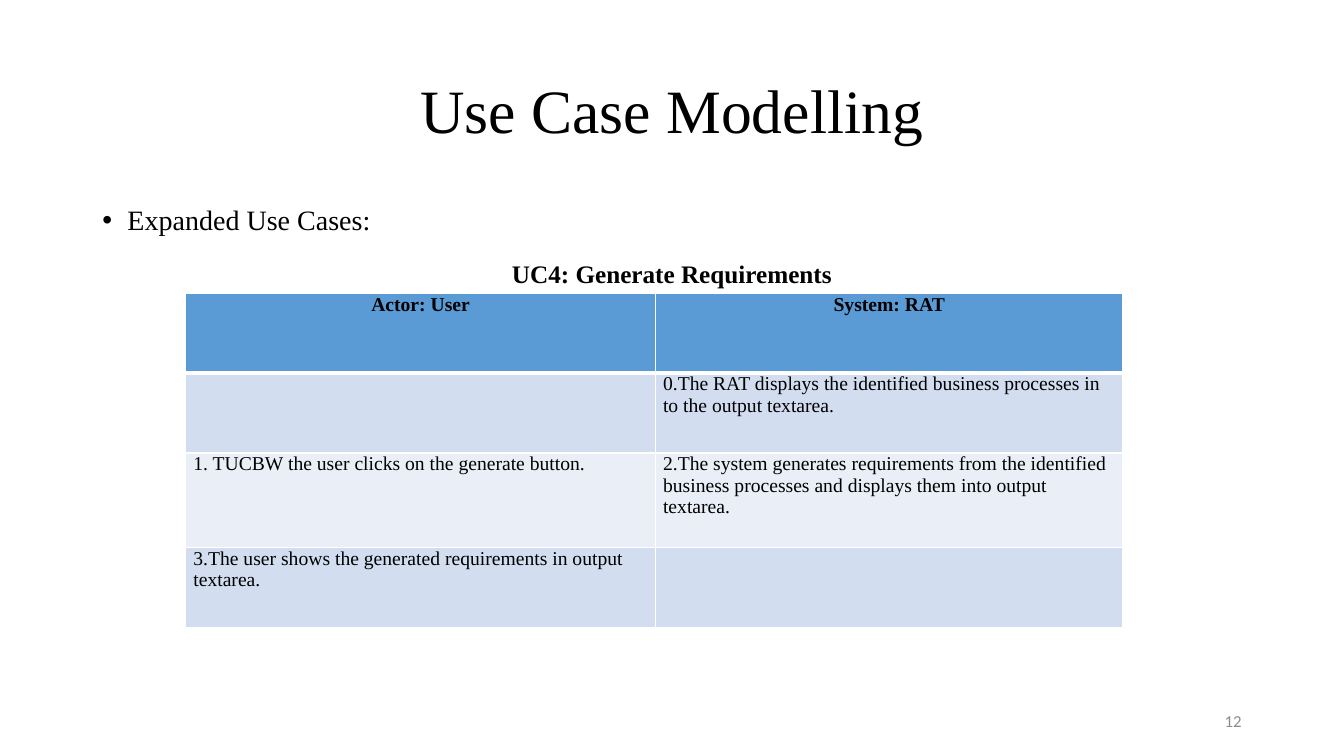
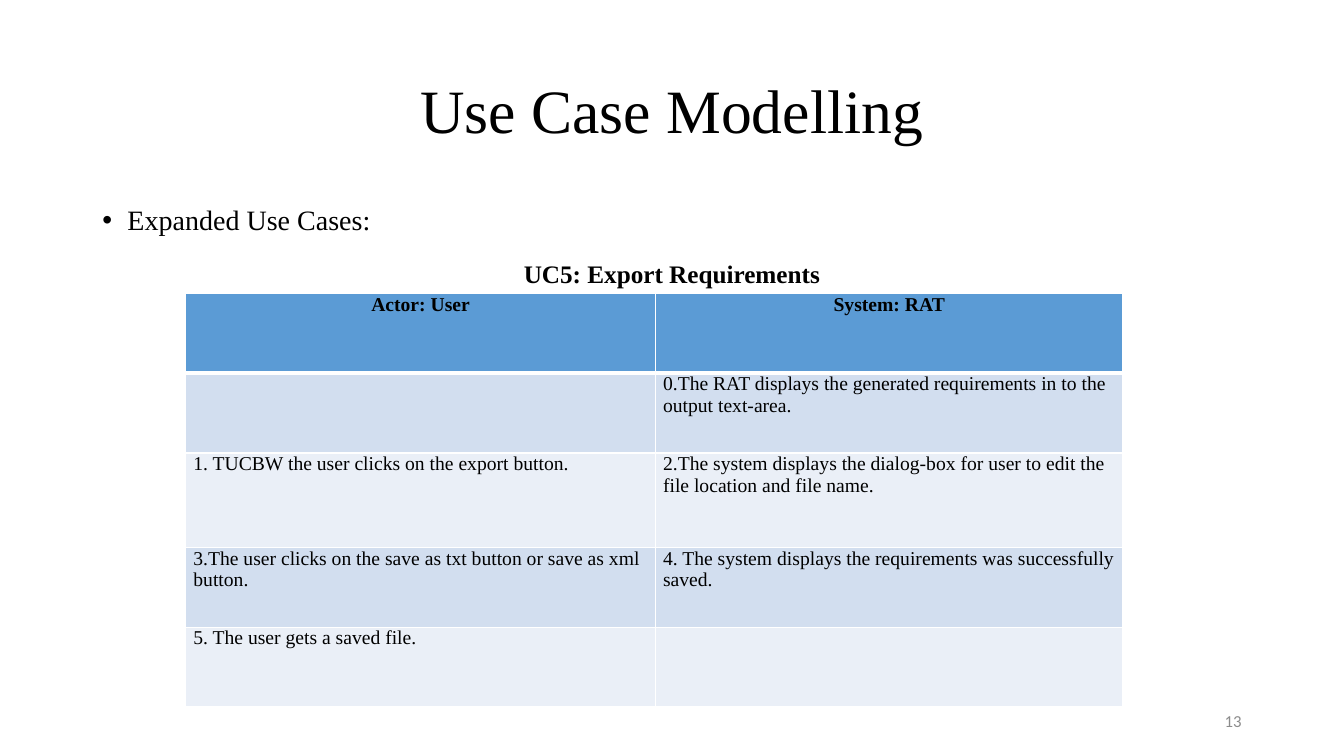
from dataclasses import dataclass

from lxml.etree import SubElement
from pptx import Presentation
from pptx.dml.color import RGBColor
from pptx.enum.text import MSO_ANCHOR, PP_ALIGN
from pptx.oxml.ns import qn
from pptx.util import Pt


@dataclass(frozen=True)
class Theme:
    """Colours, fonts and type sizes shared by all slides."""

    serif: str = "Times New Roman"
    sans: str = "Calibri"
    text: str = "000000"
    muted: str = "8C8C8C"
    border: str = "FFFFFF"
    header: str = "5B9BD5"
    bands: tuple = ("D2DEEF", "EAEFF7")
    title_size: float = 44
    body_size: float = 20
    caption_size: float = 18
    cell_size: float = 14
    number_size: float = 12


THEME = Theme()
MARGIN = 66
CONTENT_WIDTH = 828
COLUMN_WIDTHS = (335.5, 334)
ROW_HEIGHT = 56.9
TALL_ROW_HEIGHT = 67.7
TALL_ROW = 2
HEADINGS = ("Actor: User", "System: RAT")

USE_CASES = (
    (12, "UC4: Generate Requirements", (
        ("", "0.The RAT displays the identified business processes in to the output textarea."),
        ("1. TUCBW the user clicks on the generate button.",
         "2.The system generates requirements from the identified business processes "
         "and displays them into output textarea."),
        ("3.The user shows the generated requirements in output textarea.", ""),
    )),
    (13, "UC5: Export Requirements", (
        ("", "0.The RAT displays the generated requirements in to the output text-area."),
        ("1. TUCBW the user clicks on the export button.",
         "2.The system displays the dialog-box for user to edit the file location and file name."),
        ("3.The user clicks on the save as txt button or save as xml button.",
         "4. The system displays the requirements was successfully saved."),
        ("5. The user gets a saved file.", ""),
    )),
)


def style_paragraph(paragraph, size, align, bold=False, font_name=THEME.serif, color=THEME.text):
    """Format a paragraph and its font."""
    paragraph.alignment = align
    for run in paragraph.runs:
        run.font.name = font_name
        run.font.size = Pt(size)
        run.font.bold = bold
        run.font.color.rgb = RGBColor.from_string(color)


def add_text(slide, text, box, size, align, anchor=MSO_ANCHOR.TOP, **style):
    """Add a wrapped text box and return its paragraph."""
    frame = slide.shapes.add_textbox(*map(Pt, box)).text_frame
    frame.word_wrap = True
    frame.vertical_anchor = anchor
    frame.text = text
    paragraph = frame.paragraphs[0]
    style_paragraph(paragraph, size, align, **style)
    return paragraph


def add_title(slide, text):
    """Add the centred slide title."""
    paragraph = add_text(slide, text, (MARGIN, 28.75, CONTENT_WIDTH, 104.4),
                         THEME.title_size, PP_ALIGN.CENTER, MSO_ANCHOR.MIDDLE)
    paragraph.line_spacing = 0.9


def add_bullet(slide, text):
    """Add the body text with a hanging bullet."""
    paragraph = add_text(slide, text, (MARGIN, 143.75, CONTENT_WIDTH, 342.6),
                         THEME.body_size, PP_ALIGN.LEFT)
    paragraph.line_spacing = 0.9
    paragraph.space_before = Pt(10)
    properties = paragraph._p.get_or_add_pPr()
    properties.set("marL", str(Pt(18)))
    properties.set("indent", str(Pt(-18)))
    SubElement(properties, qn("a:buFont")).set("typeface", "Arial")
    SubElement(properties, qn("a:buChar")).set("char", "•")


def add_caption(slide, text):
    """Add the bold caption above the table."""
    add_text(slide, text, (MARGIN, 180.7, CONTENT_WIDTH, 29),
             THEME.caption_size, PP_ALIGN.CENTER, bold=True)


def add_slide_number(slide, number):
    """Add the slide number at the lower right."""
    add_text(slide, str(number), (678, 500.5, 216, 28.75), THEME.number_size, PP_ALIGN.RIGHT,
             MSO_ANCHOR.MIDDLE, font_name=THEME.sans, color=THEME.muted)


def set_borders(cell, row_index):
    """Draw the cell borders, with a thick line below the header."""
    widths = {"a:lnL": 1, "a:lnR": 1,
              "a:lnT": 3 if row_index == 1 else 1,
              "a:lnB": 3 if row_index == 0 else 1}
    properties = cell._tc.get_or_add_tcPr()
    for tag, width in widths.items():
        line = SubElement(properties, qn(tag), w=str(Pt(width)))
        fill = SubElement(line, qn("a:solidFill"))
        SubElement(fill, qn("a:srgbClr"), val=THEME.border)


def fill_cell(cell, text, row_index):
    """Write and format one table cell."""
    is_header = row_index == 0
    cell.margin_left = cell.margin_right = Pt(5.4)
    cell.margin_top = cell.margin_bottom = 0
    set_borders(cell, row_index)
    color = THEME.header if is_header else THEME.bands[(row_index - 1) % 2]
    cell.fill.solid()
    cell.fill.fore_color.rgb = RGBColor.from_string(color)
    cell.text_frame.text = text
    align = PP_ALIGN.CENTER if is_header else PP_ALIGN.LEFT
    style_paragraph(cell.text_frame.paragraphs[0], THEME.cell_size, align, bold=is_header)


def add_use_case_table(slide, steps):
    """Add the table of actor and system steps."""
    rows = (HEADINGS, *steps)
    heights = [TALL_ROW_HEIGHT if index == TALL_ROW else ROW_HEIGHT for index in range(len(rows))]
    box = (132.75, 209.75, sum(COLUMN_WIDTHS), sum(heights))
    table = slide.shapes.add_table(len(rows), len(HEADINGS), *map(Pt, box)).table
    for column, width in zip(table.columns, COLUMN_WIDTHS):
        column.width = Pt(width)
    for row_index, texts in enumerate(rows):
        table.rows[row_index].height = Pt(heights[row_index])
        for column_index, text in enumerate(texts):
            fill_cell(table.cell(row_index, column_index), text, row_index)


def add_use_case_slide(presentation, number, caption, steps):
    """Add one expanded use case slide."""
    slide = presentation.slides.add_slide(presentation.slide_layouts[6])
    add_title(slide, "Use Case Modelling")
    add_bullet(slide, "Expanded Use Cases:")
    add_slide_number(slide, number)
    add_use_case_table(slide, steps)
    add_caption(slide, caption)


def main():
    """Build and save the presentation."""
    presentation = Presentation()
    presentation.slide_width = Pt(960)
    presentation.slide_height = Pt(540)
    for use_case in USE_CASES:
        add_use_case_slide(presentation, *use_case)
    presentation.save("out.pptx")


if __name__ == "__main__":
    main()
